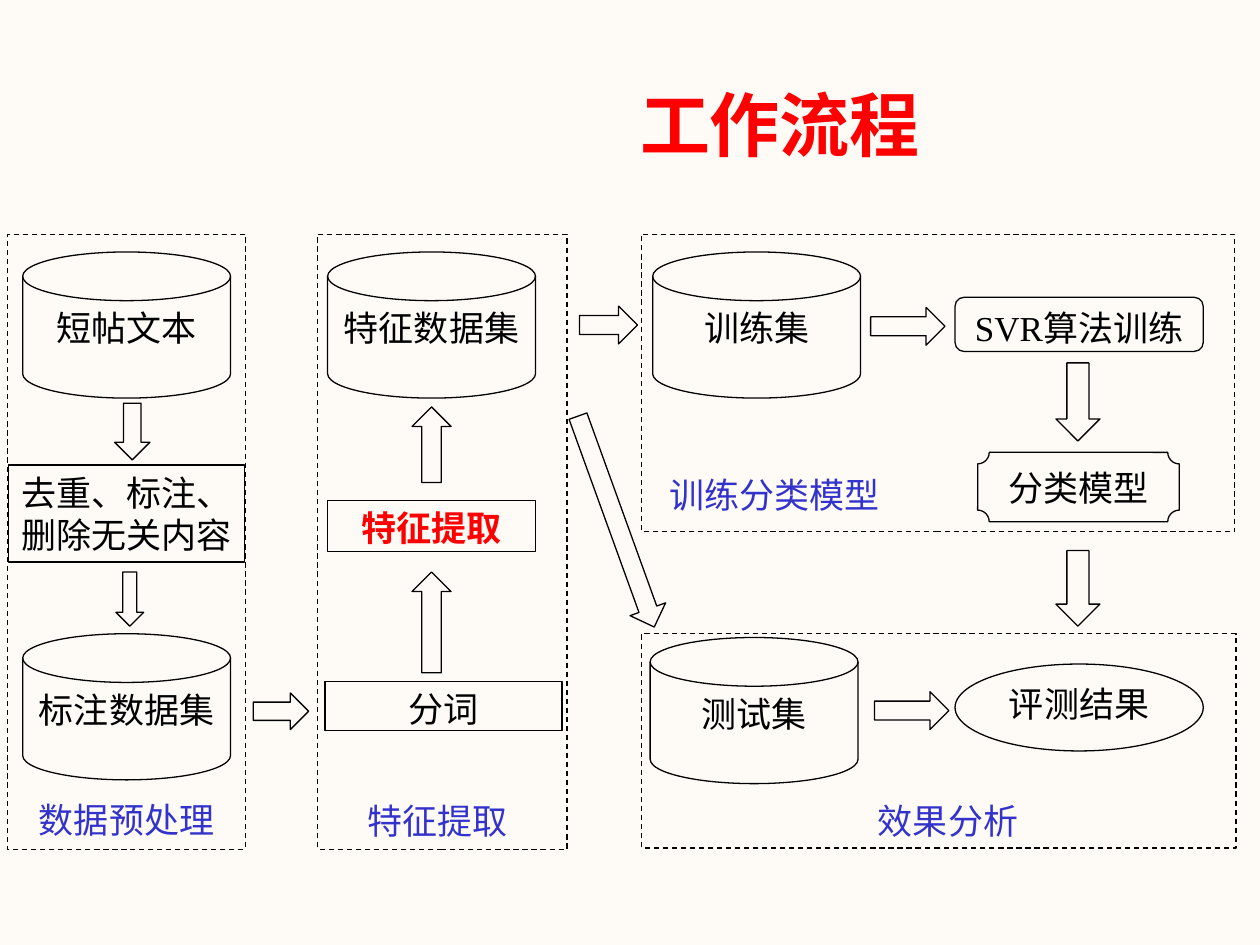
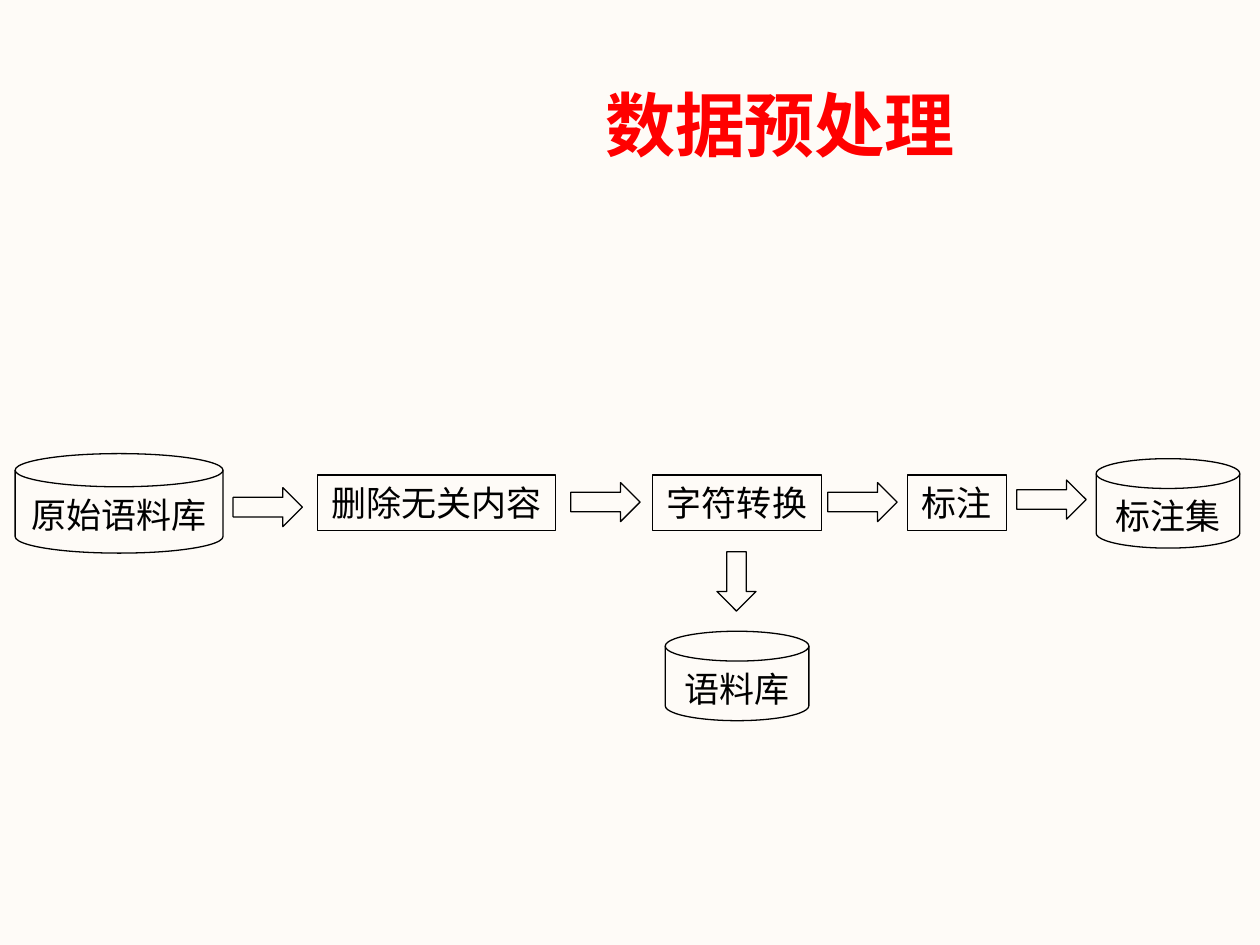
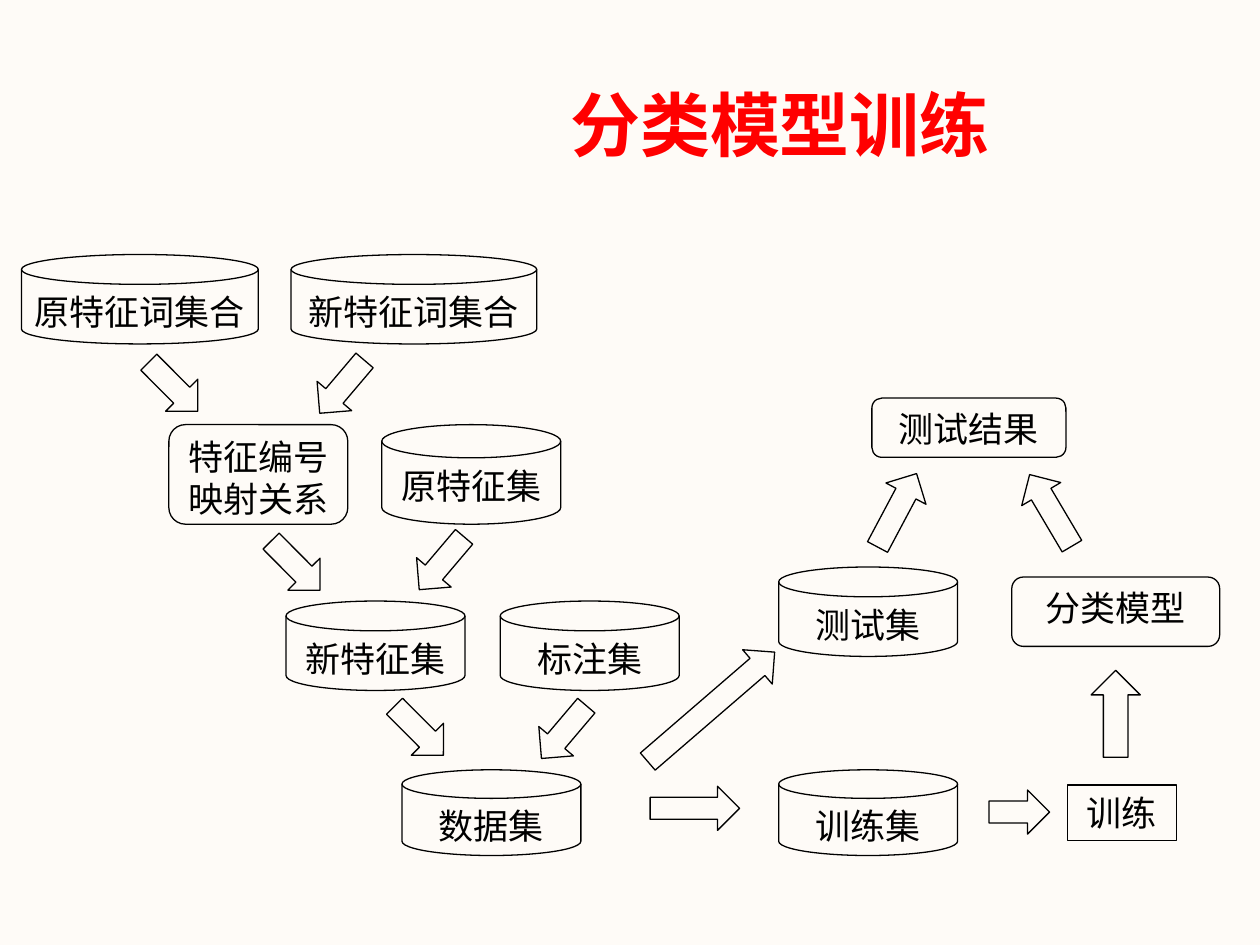
from pptx import Presentation
from pptx.dml.color import RGBColor
from pptx.enum.dml import MSO_LINE
from pptx.enum.shapes import MSO_SHAPE
from pptx.enum.text import MSO_ANCHOR, PP_ALIGN
from pptx.util import Inches, Pt

CREAM = RGBColor(0xFE, 0xFB, 0xF7)
BLACK = RGBColor(0, 0, 0)
RED = RGBColor(0xFF, 0, 0)
BLUE = RGBColor(0x33, 0x33, 0xCC)
SERIF, SANS, HEAD = "Times New Roman", "Noto Sans CJK JP", "Arial"

DISK = MSO_SHAPE.FLOWCHART_MAGNETIC_DISK
RECT = MSO_SHAPE.RECTANGLE
ROUND = MSO_SHAPE.ROUNDED_RECTANGLE
OVAL = MSO_SHAPE.OVAL
PLAQUE = MSO_SHAPE.PLAQUE
RIGHT = MSO_SHAPE.RIGHT_ARROW
DOWN = MSO_SHAPE.DOWN_ARROW
UP = MSO_SHAPE.UP_ARROW

# Sizes that recur: width, height
BIG = (1.65, 1.16)
SMALL = (1.14, 0.71)
WIDE = (1.42, 0.71)
TALL = (1.42, 0.79)
LOW = (1.42, 0.68)
STEP = (0.55, 0.31)
SLANT = (0.55, 0.36)
RISE = (0.66, 0.36)
LINE = 0.44  # height of a one-line box

# Nodes: kind, text, left, top, size
# Arrows: kind, left, top, size, turn in degrees
# Frames: left, top, size; labels: text, left, top, width
FLOW = {
    "title": "工作流程",
    "nodes": [
        (DISK, "短帖文本", 0.18, 2, BIG),
        (RECT, "去重、标注、删除无关内容", 0.07, 3.69, (1.87, 0.77)),
        (DISK, "标注数据集", 0.18, 5.03, BIG),
        (RECT, "分词", 2.58, 5.41, (1.88, 0.39)),
        (DISK, "特征数据集", 2.6, 2, BIG),
        (DISK, "训练集", 5.18, 2, BIG),
        (ROUND, "SVR算法训练", 7.58, 2.36, (1.97, 0.43)),
        (PLAQUE, "分类模型", 7.76, 3.59, (1.6, 0.55)),
        (DISK, "测试集", 5.16, 5.06, BIG),
        (OVAL, "评测结果", 7.58, 5.27, (1.97, 0.69)),
    ],
    "key": (RECT, "特征提取", 2.6, 3.97, (1.65, 0.41)),
    "arrows": [
        (DOWN, 0.91, 3.2, (0.28, 0.45), 0),
        (DOWN, 0.92, 4.54, (0.22, 0.43), 0),
        (RIGHT, 2.01, 5.5, (0.44, 0.29), 0),
        (UP, 3.27, 4.54, (0.31, 0.8), 0),
        (UP, 3.27, 3.23, (0.31, 0.6), 0),
        (RIGHT, 4.6, 2.43, (0.46, 0.3), 0),
        (RIGHT, 4, 3.99, (1.78, 0.3), 70.1),
        (RIGHT, 6.91, 2.44, (0.59, 0.3), 0),
        (DOWN, 8.38, 2.88, (0.35, 0.62), 0),
        (DOWN, 8.38, 4.37, (0.35, 0.6), 0),
        (RIGHT, 6.94, 5.49, (0.59, 0.3), 0),
    ],
    "frames": [
        (0.06, 1.86, (1.89, 4.88)),
        (2.52, 1.86, (1.98, 4.88)),
        (5.09, 1.86, (4.71, 2.36)),
        (5.09, 5.03, (4.72, 1.7)),
    ],
    "labels": [
        ("数据预处理", 0.14, 6.29, 1.73),
        ("特征提取", 2.61, 6.3, 1.73),
        ("训练分类模型", 5.2, 3.71, 1.89),
        ("效果分析", 6.66, 6.3, 1.73),
    ],
}

PREP = {
    "title": "数据预处理",
    "nodes": [
        (DISK, "原始语料库", 0.12, 3.6, (1.65, 0.79)),
        (RECT, "删除无关内容", 2.52, 3.77, (1.89, LINE)),
        (RECT, "字符转换", 5.18, 3.77, (1.34, LINE)),
        (RECT, "标注", 7.2, 3.77, (0.79, LINE)),
        (DISK, "标注集", 8.7, 3.64, SMALL),
        (DISK, "语料库", 5.28, 5.01, SMALL),
    ],
    "arrows": [
        (RIGHT, 1.85, 3.87, STEP, 0),
        (RIGHT, 4.53, 3.83, STEP, 0),
        (RIGHT, 6.57, 3.83, STEP, 0),
        (RIGHT, 8.07, 3.81, STEP, 0),
        (DOWN, 5.69, 4.38, (0.31, 0.47), 0),
    ],
}

TRAIN = {
    "title": "分类模型训练",
    "nodes": [
        (DISK, "原特征词集合", 0.17, 2.02, (1.88, 0.71)),
        (DISK, "新特征词集合", 2.31, 2.02, (1.95, 0.71)),
        (ROUND, "特征编号映射关系", 1.34, 3.37, TALL),
        (DISK, "原特征集", 3.03, 3.37, TALL),
        (DISK, "新特征集", 2.27, 4.77, WIDE),
        (DISK, "标注集", 3.97, 4.77, WIDE),
        (DISK, "数据集", 3.19, 6.11, LOW),
        (DISK, "训练集", 6.18, 6.11, LOW),
        (DISK, "测试集", 6.18, 4.5, WIDE),
        (RECT, "训练", 8.47, 6.23, (0.87, LINE)),
        (ROUND, "分类模型", 8.03, 4.58, (1.65, 0.55)),
        (ROUND, "测试结果", 6.92, 3.16, (1.54, 0.47)),
    ],
    "arrows": [
        (RIGHT, 1.1, 2.89, SLANT, 45.1),
        (RIGHT, 2.44, 2.89, SLANT, 130.3),
        (RIGHT, 2.07, 4.31, SLANT, 45.1),
        (RIGHT, 3.23, 4.29, SLANT, 130.3),
        (RIGHT, 3.05, 5.62, SLANT, 45.1),
        (RIGHT, 4.2, 5.63, SLANT, 130.3),
        (RIGHT, 5.16, 6.24, (0.71, 0.35), 0),
        (RIGHT, 7.85, 6.27, (0.48, 0.35), 0),
        (UP, 8.66, 5.32, (0.39, 0.69), 0),
        (RIGHT, 6.79, 3.87, RISE, 298),
        (RIGHT, 8.01, 3.87, RISE, 239.4),
        (RIGHT, 4.98, 5.43, (1.33, 0.36), 319.2),
    ],
}


def write(shape, text, font=SERIF, size=20, color=BLACK, bold=False,
          anchor=MSO_ANCHOR.TOP):
    frame = shape.text_frame
    frame.word_wrap = True
    frame.vertical_anchor = anchor
    frame.margin_left = frame.margin_right = Inches(0.08)
    para = frame.paragraphs[0]
    para.text = text
    para.alignment = PP_ALIGN.CENTER
    para.font.name = font
    para.font.size = Pt(size)
    para.font.bold = bold
    para.font.color.rgb = color


def outline(slide, kind, left, top, size, turn=0):
    shape = slide.shapes.add_shape(
        kind, *[Inches(n) for n in (left, top, *size)])
    shape.shadow.inherit = False
    shape.fill.background()
    shape.line.color.rgb = BLACK
    shape.line.width = Pt(0.75)
    shape.rotation = turn
    return shape


def textbox(slide, left, top, width, height):
    return slide.shapes.add_textbox(
        *[Inches(n) for n in (left, top, width, height)])


def node(slide, kind, text, left, top, size, **style):
    write(outline(slide, kind, left, top, size), text, **style)


def build(deck, page):
    slide = deck.slides.add_slide(deck.slide_layouts[6])
    write(textbox(slide, 2.48, 0.44, 7.42, 1.08), page["title"], HEAD, 40,
          RED, True, MSO_ANCHOR.MIDDLE)
    for item in page["nodes"]:
        node(slide, *item)
    if "key" in page:
        node(slide, *page["key"], color=RED, bold=True)
    for item in page["arrows"]:
        outline(slide, *item)
    # Dashed stage frames and their names
    for item in page.get("frames", []):
        outline(slide, RECT, *item).line.dash_style = MSO_LINE.DASH
    for text, left, top, width in page.get("labels", []):
        write(textbox(slide, left, top, width, LINE), text, SANS, color=BLUE)


deck = Presentation()
deck.slide_width, deck.slide_height = Inches(10), Inches(7.5)
back = deck.slide_master.background.fill
back.solid()
back.fore_color.rgb = CREAM
for page in (FLOW, PREP, TRAIN):
    build(deck, page)
deck.save("out.pptx")
